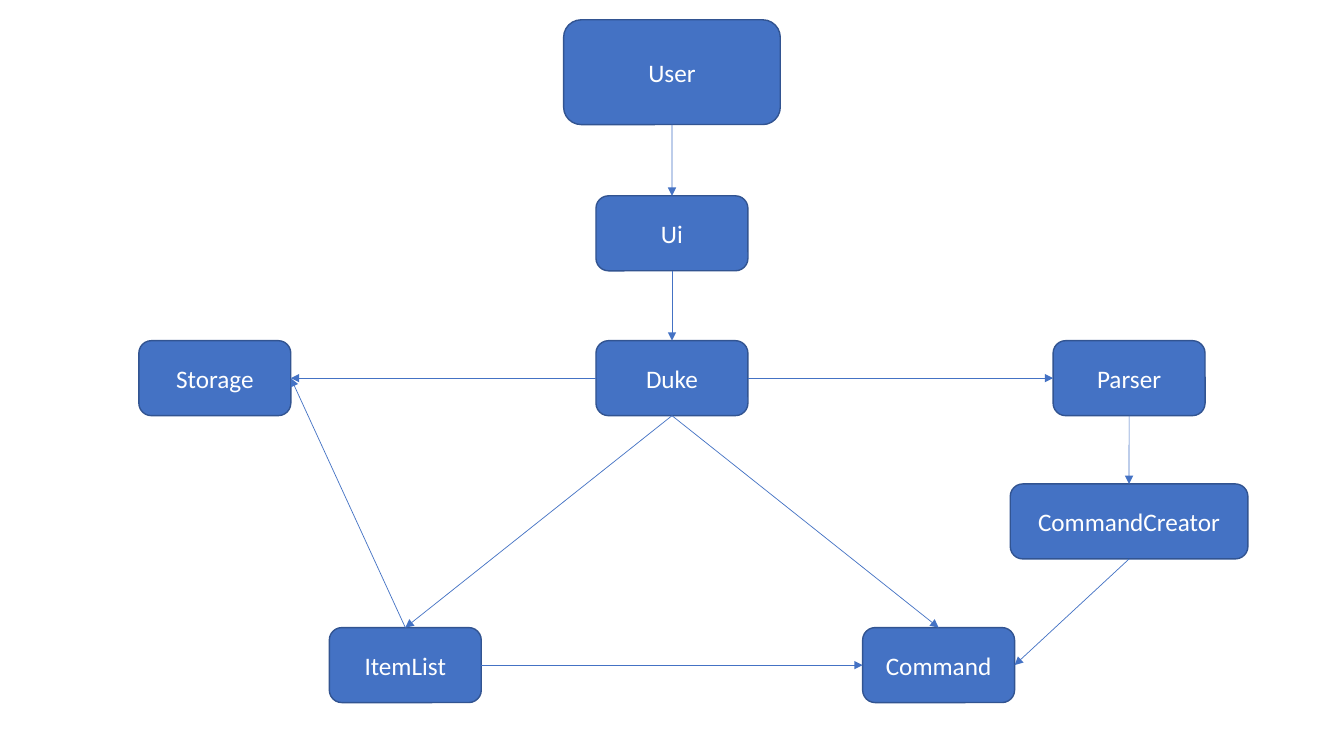
from pptx import Presentation
from pptx.dml.color import RGBColor
from pptx.enum.shapes import MSO_CONNECTOR as Connector, MSO_SHAPE as Shape
from pptx.enum.text import MSO_ANCHOR as Anchor, PP_ALIGN as Align
from pptx.oxml.ns import qn
from pptx.util import Cm, Pt
from lxml.etree import SubElement

BLUE = RGBColor(0x44, 0x72, 0xC4)
DARK_BLUE = RGBColor(0x32, 0x54, 0x91)
WHITE = RGBColor(0xFF, 0xFF, 0xFF)
FONT = "Calibri"

TOP, LEFT, BOTTOM, RIGHT = range(4)

CLASS_SIZE = (3.83, 1.89)
OUTER, INNER = 11.52, 6.72
USER_ROW, UI_ROW, DUKE_ROW, CREATOR_ROW, LIST_ROW = 1.82, 5.88, 9.53, 13.14, 16.76

NODES = [
    ("User", 0, USER_ROW, (5.46, 2.64)),
    ("Ui", 0, UI_ROW, CLASS_SIZE),
    ("Storage", -OUTER, DUKE_ROW, CLASS_SIZE),
    ("Duke", 0, DUKE_ROW, CLASS_SIZE),
    ("Parser", OUTER, DUKE_ROW, CLASS_SIZE),
    ("CommandCreator", OUTER, CREATOR_ROW, (5.99, 1.89)),
    ("ItemList", -INNER, LIST_ROW, CLASS_SIZE),
    ("Command", INNER, LIST_ROW, CLASS_SIZE),
]

ARROWS = [
    ("User", BOTTOM, "Ui", TOP),
    ("Ui", BOTTOM, "Duke", TOP),
    ("Duke", RIGHT, "Parser", LEFT),
    ("Duke", BOTTOM, "Command", TOP),
    ("Duke", LEFT, "Storage", RIGHT),
    ("Duke", BOTTOM, "ItemList", TOP),
    ("ItemList", TOP, "Storage", RIGHT),
    ("ItemList", RIGHT, "Command", LEFT),
    ("Parser", BOTTOM, "CommandCreator", TOP),
    ("CommandCreator", BOTTOM, "Command", RIGHT),
]


def add_node(slide, name, center_x, center_y, width, height):
    shape = slide.shapes.add_shape(
        Shape.ROUNDED_RECTANGLE,
        Cm(center_x - width / 2), Cm(center_y - height / 2), Cm(width), Cm(height))
    shape.shadow.inherit = False
    shape.fill.solid()
    shape.fill.fore_color.rgb = BLUE
    shape.line.color.rgb = DARK_BLUE
    shape.line.width = Pt(1)
    shape.text_frame.text = name
    shape.text_frame.vertical_anchor = Anchor.MIDDLE
    paragraph = shape.text_frame.paragraphs[0]
    paragraph.alignment = Align.CENTER
    paragraph.font.name = FONT
    paragraph.font.size = Pt(18)
    paragraph.font.color.rgb = WHITE
    return shape


def add_arrow(slide, source, source_side, target, target_side):
    connector = slide.shapes.add_connector(
        Connector.STRAIGHT, source.left, source.top, target.left, target.top)
    connector.begin_connect(source, source_side)
    connector.end_connect(target, target_side)
    connector.line.color.rgb = BLUE
    connector.line.width = Pt(0.5)
    SubElement(connector.line._get_or_add_ln(), qn("a:tailEnd"), type="triangle")
    SubElement(connector._element.spPr, qn("a:effectLst"))


def add_class_diagram(slide, left, top, width):
    center = left + width / 2
    shapes = {
        name: add_node(slide, name, center + offset, top + row, *size)
        for name, offset, row, size in NODES
    }
    for source, source_side, target, target_side in ARROWS:
        add_arrow(slide, shapes[source], source_side, shapes[target], target_side)


def main():
    presentation = Presentation()
    presentation.slide_width = Cm(33.87)
    presentation.slide_height = Cm(19.05)
    slide = presentation.slides.add_slide(presentation.slide_layouts[6])
    add_class_diagram(slide, left=0, top=0, width=33.87)
    presentation.save("out.pptx")


if __name__ == "__main__":
    main()
